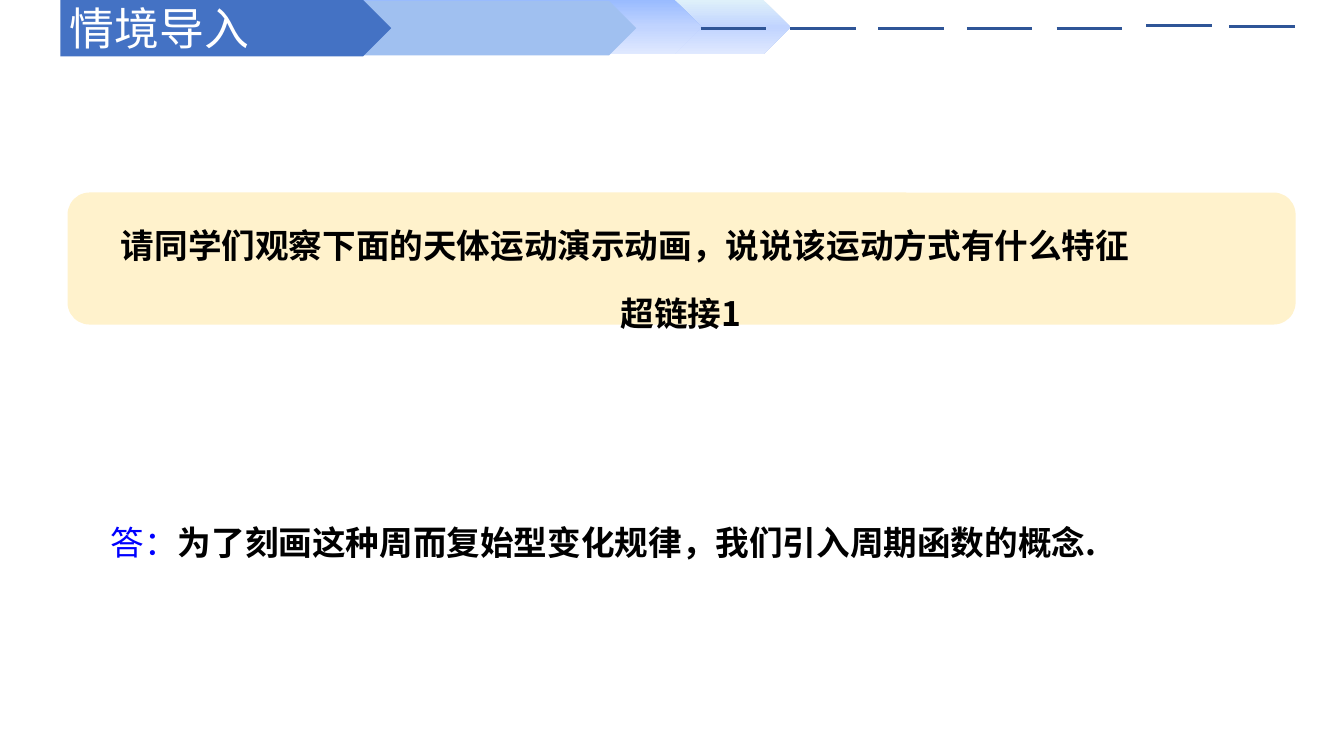
"""Build the lesson opening slide with its banner, question and answer."""
from copy import deepcopy
from lxml import etree
from pptx import Presentation
from pptx.dml.color import RGBColor
from pptx.enum.shapes import MSO_CONNECTOR, MSO_SHAPE
from pptx.enum.text import MSO_ANCHOR, PP_ALIGN
from pptx.oxml.ns import qn
from pptx.util import Inches, Pt

LINE = MSO_CONNECTOR.STRAIGHT
ARROW, ROUND = MSO_SHAPE.PENTAGON, MSO_SHAPE.ROUNDED_RECTANGLE
TOP, MID = MSO_ANCHOR.TOP, MSO_ANCHOR.MIDDLE
LEFT, CENTER, FULL = PP_ALIGN.LEFT, PP_ALIGN.CENTER, PP_ALIGN.JUSTIFY
SANS, SERIF = "Noto Sans CJK SC", "Times New Roman"

HUES = {
    "ice": "DEF0FA", "sky": "99BBFF", "mist": "C1D4FF", "pale": "E0E9FF",
    "soft": "A0C0F0", "main": "4472C4", "dash": "2F5597", "cream": "FFF2CC",
    "white": "FFFFFF", "black": "000000", "blue": "0000FF",
}
SHAPES = [
    (ARROW, (4.15, 0, 3.69, 0.54), ("ice", "mist", "pale")),
    (ARROW, (2.99, 0, 3.97, 0.54), ("sky", "mist", "pale")),
    (ARROW, (1.83, 0.01, 4.48, 0.54), ("soft",)),
    (ARROW, (0.6, 0, 3.28, 0.56), ("main",)),
    (ROUND, (0.67, 1.91, 12.18, 1.31), ("cream",)),
]
DASHES = [(6.95, 0.28), (7.84, 0.28), (8.71, 0.28), (9.59, 0.28),
          (10.48, 0.28), (11.37, 0.25), (12.19, 0.26)]
DASH = 0.65
HEAD = ((0.59, -0.05, 7.74, 0.64),
        [(LEFT, 0, [("情境导入", 32, SANS, "white", False)])])
BOXES = [
    ((0.79, 1.9, 11.93, 1.47), [
        (LEFT, 0.31, [("请同学们观察下面的天体运动演示动画，说说该运动方式有什么特征",
                       24, SANS, "black", True)]),
        (CENTER, 0, [("超链接1", 24, SANS, "black", True)]),
    ]),
    ((1, 4.85, 11.93, 0.79), [
        (FULL, 0, [("答：", 24, SERIF, "blue", False),
                   ("为了刻画这种周而复始型变化规律，我们引入周期函数的概念.",
                    24, SANS, "black", True)]),
    ]),
]


def hue(name):
    return RGBColor.from_string(HUES[name])


def paint(fill, names):
    if len(names) == 1:
        fill.solid()
        fill.fore_color.rgb = hue(names[0])
        return
    fill.gradient()
    fill.gradient_angle = 270
    stops = fill._xPr.find(qn("a:gradFill")).find(qn("a:gsLst"))
    stops.append(deepcopy(stops[0]))
    for i, (stop, name) in enumerate(zip(fill.gradient_stops, names)):
        stop.position = i / (len(names) - 1)
        stop.color.rgb = hue(name)


def add_shape(slide, kind, box, names):
    shape = slide.shapes.add_shape(kind, *map(Inches, box))
    shape.shadow.inherit = False
    shape.line.fill.background()
    paint(shape.fill, names)


def add_dash(slide, x, y):
    dash = slide.shapes.add_connector(
        LINE, *map(Inches, (x, y, x + DASH, y)))
    dash.line.color.rgb = hue("dash")
    dash.line.width = Pt(2)
    etree.SubElement(dash._element.spPr, qn("a:effectLst"))


def write(frame, paras, space, anchor):
    frame.word_wrap = True
    frame.vertical_anchor = anchor
    for i, (align, indent, runs) in enumerate(paras):
        para = frame.add_paragraph() if i else frame.paragraphs[0]
        para.alignment = align
        para.line_spacing = space
        para.space_before = Pt(0)
        if indent:
            para._p.get_or_add_pPr().set("indent", str(Inches(indent)))
        for text, size, face, color, bold in runs:
            run = para.add_run()
            run.text = text
            font = run.font
            font.size, font.name, font.bold = Pt(size), face, bold
            font.color.rgb = hue(color)
            east = etree.SubElement(run._r.get_or_add_rPr(), qn("a:ea"))
            east.set("typeface", SANS)


def main():
    deck = Presentation()
    deck.slide_width, deck.slide_height = Inches(13.33), Inches(7.5)
    slide = deck.slides.add_slide(deck.slide_layouts[5])
    for shape in SHAPES:
        add_shape(slide, *shape)
    for x, y in DASHES:
        add_dash(slide, x, y)
    box, paras = HEAD
    title = slide.shapes.title
    title.left, title.top, title.width, title.height = map(Inches, box)
    write(title.text_frame, paras, 1, MID)
    slide.shapes._spTree.append(title._element)
    for box, paras in BOXES:
        area = slide.shapes.add_textbox(*map(Inches, box))
        write(area.text_frame, paras, 1.7, TOP)
    deck.save("out.pptx")


if __name__ == "__main__":
    main()
